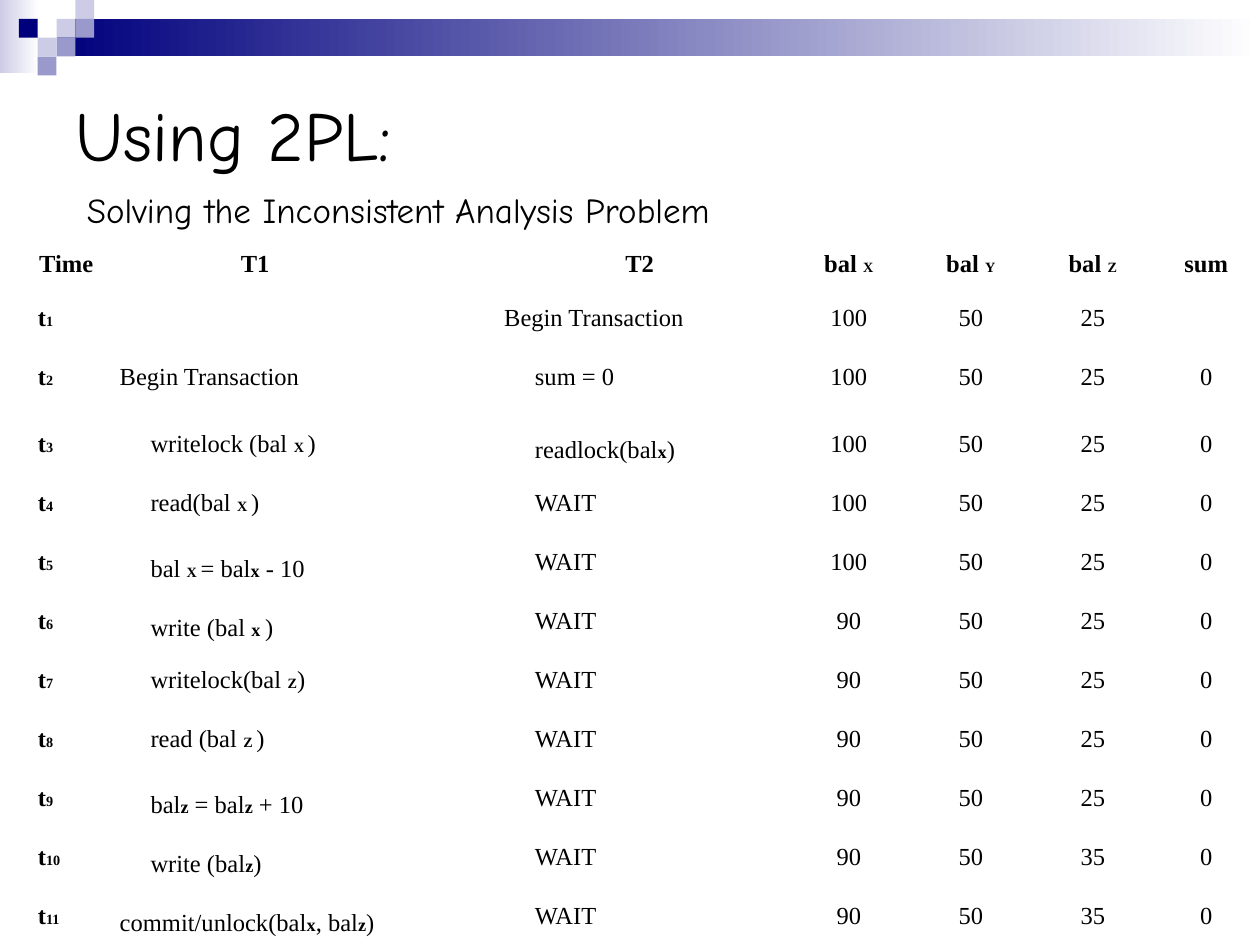
from pptx import Presentation
from pptx.dml.color import RGBColor
from pptx.enum.shapes import MSO_SHAPE
from pptx.enum.text import MSO_ANCHOR, PP_ALIGN
from pptx.util import Cm, Pt

RECTANGLE = MSO_SHAPE.RECTANGLE
LEFT, CENTER = PP_ALIGN.LEFT, PP_ALIGN.CENTER
MIDDLE = MSO_ANCHOR.MIDDLE

TILE = 0.38
TILES = [
    (1, 1, "CCCCE6"), (2, 0, "CCCCE6"), (2, 1, "9999CC"), (0, 2, "CCCCE6"),
    (-1, 1, "00007D"), (1, 2, "9999CC"), (0, 3, "9999CC"),
]
COLUMN_WIDTHS = [1.65, 5.97, 1.78, 5.97, 2.46, 2.46, 2.46, 2.11]
ROW_HEIGHTS = [1.14, 1.14, 1.35] + [1.19] * 9
HEADINGS = ["Time", "T1", "", "T2", "bal |X|", "bal |Y|", "bal |Z|", "sum"]
T1_STEPS = [
    "", "Begin Transaction", "writelock (bal |X |)", "read(bal |X |)",
    "bal |X |= bal|_x| - 10", "write (bal |_x |)", "writelock(bal |Z|)",
    "read (bal |Z |)", "bal|_z| = bal|z| + 10", "write (bal|z|)",
    "commit/unlock(bal|x|, bal|z|)",
]
T2_STEPS = ["Begin Transaction", "sum = 0", "readlock(bal|x|)"] + ["WAIT"] * 8
OUTER_STEPS = ("Begin", "commit")


def color(value):
    return RGBColor.from_string(value)


class SlideBuilder:
    """Holds the deck style and adds each kind of element to the current slide."""

    ink = "000000"
    display_font = "Comic Neue"
    table_font = "Times New Roman"

    def __init__(self, deck):
        self.slide = deck.slides.add_slide(deck.slide_layouts[5])

    def styled_run(self, paragraph, text, font, size, bold=False, baseline=None):
        run = paragraph.add_run()
        run.text = text
        style = {"name": font, "size": Pt(size), "bold": bold}
        for attribute, value in style.items():
            setattr(run.font, attribute, value)
        run.font.color.rgb = color(self.ink)
        if baseline:
            run.font._element.set("baseline", str(baseline))

    def rectangle(self, left, top, width, height, *colors):
        block = self.slide.shapes.add_shape(
            RECTANGLE, Cm(left), Cm(top), Cm(width), Cm(height))
        block.shadow.inherit = False
        block.line.fill.background()
        if len(colors) == 1:
            block.fill.solid()
            block.fill.fore_color.rgb = color(colors[0])
            return
        block.fill.gradient()
        block.fill.gradient_angle = 0
        for stop, value in zip(block.fill.gradient_stops, colors):
            stop.color.rgb = color(value)

    def title(self, text, left, top, width, height):
        heading = self.slide.shapes.title
        place = {"left": left, "top": top, "width": width, "height": height}
        for attribute, value in place.items():
            setattr(heading, attribute, Cm(value))
        heading.text_frame.vertical_anchor = MIDDLE
        paragraph = heading.text_frame.paragraphs[0]
        paragraph.alignment = LEFT
        self.styled_run(paragraph, text, self.display_font, 40)

    def subtitle(self, text, left, top, width, height):
        caption = self.slide.shapes.add_textbox(
            Cm(left), Cm(top), Cm(width), Cm(height))
        caption.text_frame.word_wrap = False
        self.styled_run(caption.text_frame.paragraphs[0], text, self.display_font, 20)

    def cell_text(self, paragraph, text, bold):
        for index, part in enumerate(text.split("|")):
            if not part:
                continue
            if index % 2 == 0:
                self.styled_run(paragraph, part, self.table_font, 14, bold)
                continue
            letter = part.lstrip("_")
            large = letter.islower()
            baseline = -25 if large and letter == part else -30
            self.styled_run(paragraph, letter, self.table_font,
                            18 if large else 14, True, baseline)

    def schedule(self, rows, left, top):
        table = self.slide.shapes.add_table(
            len(rows), len(COLUMN_WIDTHS), Cm(left), Cm(top),
            Cm(sum(COLUMN_WIDTHS)), Cm(sum(ROW_HEIGHTS))).table
        table.first_row = table.horz_banding = False
        for column, width in zip(table.columns, COLUMN_WIDTHS):
            column.width = Cm(width)
        for row, height in zip(table.rows, ROW_HEIGHTS):
            row.height = Cm(height)
        for r, entries in enumerate(rows):
            for c, text in enumerate(entries):
                cell = table.cell(r, c)
                cell.fill.background()
                paragraph = cell.text_frame.paragraphs[0]
                paragraph.alignment = CENTER if r == 0 or c > 3 else LEFT
                if r == 1:
                    paragraph.line_spacing = 0.9
                if r and c in (1, 3) and text and not text.startswith(OUTER_STEPS):
                    paragraph._p.get_or_add_pPr().set("marL", str(Cm(0.62)))
                self.cell_text(paragraph, text, r == 0 or c == 0)


def schedule_rows():
    rows = [HEADINGS]
    for time, (t1, t2) in enumerate(zip(T1_STEPS, T2_STEPS), start=1):
        rows.append([
            f"t|{time}|", t1, "", t2,
            "100" if time < 6 else "90", "50",
            "25" if time < 10 else "35", "0" if time > 1 else "",
        ])
    return rows


def main():
    deck = Presentation()
    deck.slide_width, deck.slide_height = Cm(25.4), Cm(19.05)
    builder = SlideBuilder(deck)
    builder.rectangle(0, 0, 0.79, 1.47, "CCCCE6", "FFFFFF")
    builder.rectangle(3 * TILE, TILE, 24.26, 2 * TILE, "00007D", "FFFFFF")
    for column, row, value in TILES:
        builder.rectangle((column + 2) * TILE, row * TILE, TILE, TILE, value)
    builder.title("Using 2PL:", 1.27, 1.27, 22.86, 2.84)
    builder.schedule(schedule_rows(), 0.51, 4.93)
    builder.subtitle("Solving the Inconsistent Analysis Problem", 1.5, 3.68, 13.11, 1.12)
    deck.save("out.pptx")


if __name__ == "__main__":
    main()
